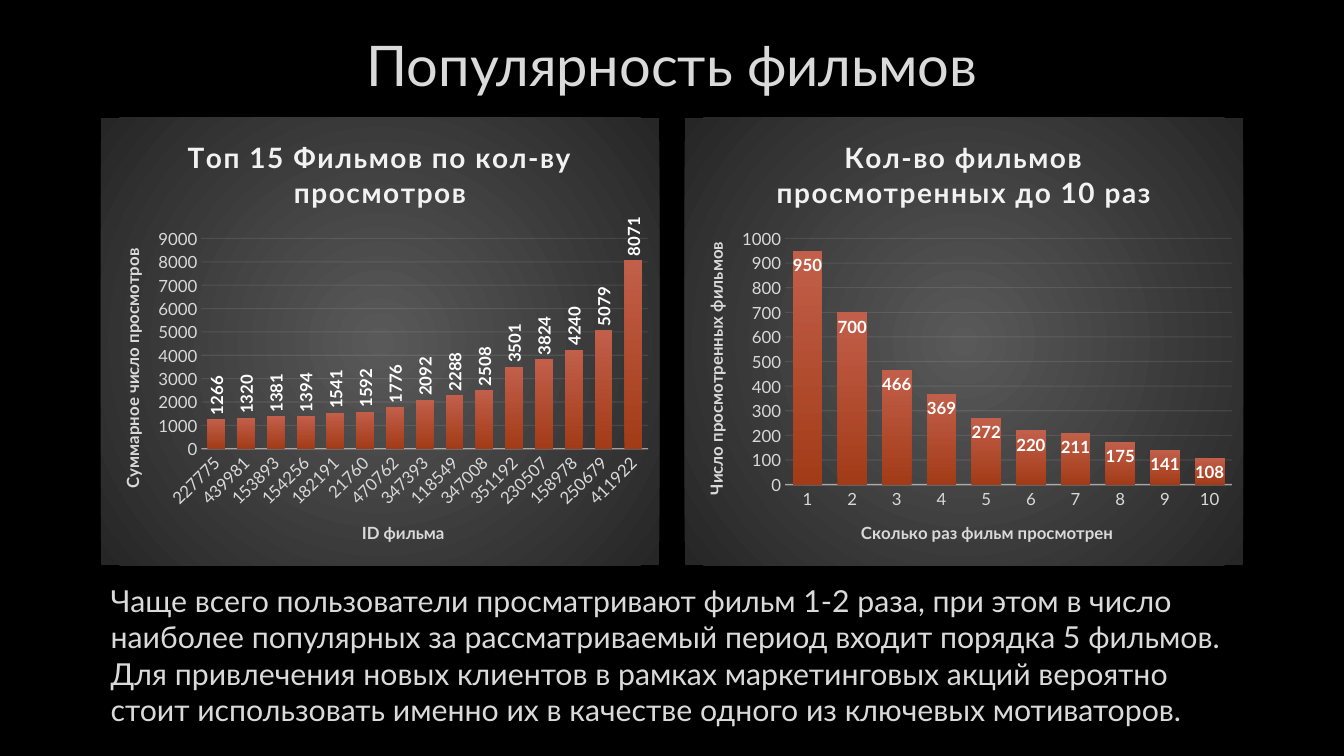
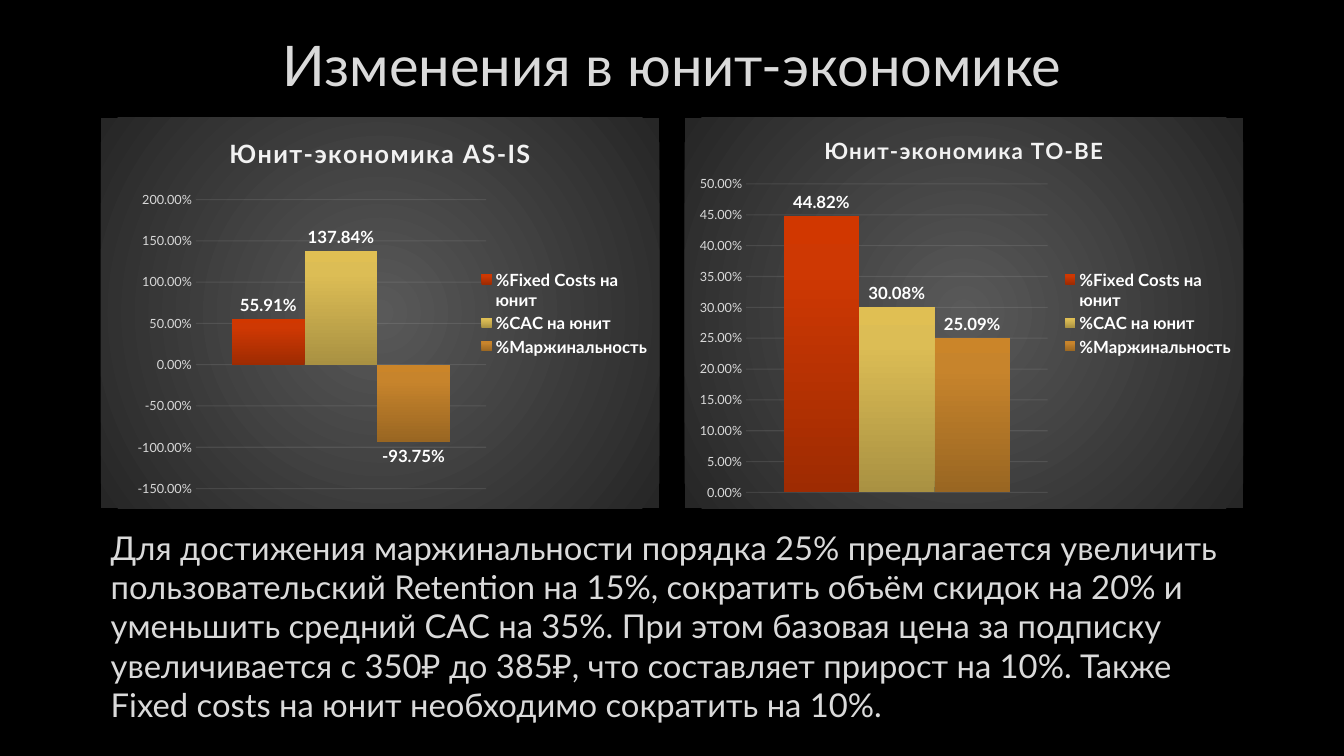
from lxml import etree
from pptx import Presentation
from pptx.chart.data import CategoryChartData
from pptx.dml.color import RGBColor
from pptx.enum.chart import XL_CHART_TYPE, XL_LABEL_POSITION, XL_LEGEND_POSITION, XL_TICK_MARK
from pptx.enum.text import MSO_ANCHOR, PP_ALIGN
from pptx.oxml import parse_xml
from pptx.oxml.ns import nsdecls, qn
from pptx.util import Emu, Inches, Pt

COLUMNS = XL_CHART_TYPE.COLUMN_CLUSTERED
ABOVE = XL_LABEL_POSITION.OUTSIDE_END
INSIDE = XL_LABEL_POSITION.INSIDE_END
LEGEND_RIGHT = XL_LEGEND_POSITION.RIGHT
NO_TICK = XL_TICK_MARK.NONE
MIDDLE = MSO_ANCHOR.MIDDLE
LEFT, CENTER = PP_ALIGN.LEFT, PP_ALIGN.CENTER

BLACK = RGBColor(0x00, 0x00, 0x00)
WHITE = RGBColor(0xFF, 0xFF, 0xFF)
TEXT = RGBColor(0xDA, 0xDA, 0xDA)
TICK_TEXT = RGBColor(0xD9, 0xD9, 0xD9)
PALE = RGBColor(0xF2, 0xF2, 0xF2)
PANEL = [(0, RGBColor(0x59, 0x59, 0x59)), (100, RGBColor(0x26, 0x26, 0x26))]
RUST = [(0, RGBColor(0xA2, 0x3B, 0x17)), (100, RGBColor(0xC2, 0x5F, 0x4A))]
RED = [(0, RGBColor(0x9E, 0x2B, 0x02)), (80, RGBColor(0xCE, 0x38, 0x03)),
       (100, RGBColor(0xD1, 0x37, 0x00))]
GOLD = [(0, RGBColor(0xA9, 0x91, 0x42)), (80, RGBColor(0xDC, 0xBD, 0x55)),
        (100, RGBColor(0xE0, 0xBF, 0x53))]
AMBER = [(0, RGBColor(0x99, 0x66, 0x22)), (80, RGBColor(0xC7, 0x84, 0x2C)),
         (100, RGBColor(0xCB, 0x85, 0x29))]

FONT = "Lato"
PERCENT = "0.00%"
CELL = Inches(1) // 12
SLIDE_COLS, SLIDE_ROWS = 160, 90
MARGIN, GUTTER = 12, 3
CONTENT = SLIDE_COLS - 2 * MARGIN
CHART_COLS = (CONTENT - GUTTER) / 2
TITLE_TOP, CHART_TOP, BODY_BOTTOM = 1.3, 14, 86.2
UPRIGHT, SLANTED = "-5400000", "-2700000"
RISING = '<a:lin ang="16200000" scaled="0"/>'
RADIAL = ('<a:path path="circle"><a:fillToRect l="50000" t="50000" '
          'r="50000" b="50000"/></a:path>')


def apply(target, values):
    for key, value in values.items():
        setattr(target, key, value)


def style_font(font, size, color, bold=False):
    apply(font, {"name": FONT, "size": Pt(size), "bold": bold})
    font.color.rgb = color


def gradient(stops, direction):
    marks = "".join(f'<a:gs pos="{share * 1000}"><a:srgbClr val="{color}"/></a:gs>'
                    for share, color in stops)
    return parse_xml(f'<a:gradFill {nsdecls("a")} rotWithShape="1">'
                     f'<a:gsLst>{marks}</a:gsLst>{direction}</a:gradFill>')


def style_line(line, width, opacity):
    line.width = Pt(width)
    line.color.rgb = PALE
    color = line._get_or_add_ln().xpath(".//a:srgbClr")[0]
    etree.SubElement(color, qn("a:alpha")).set("val", str(opacity * 1000))


def turn(element, angle):
    body = element.xpath("./c:txPr/a:bodyPr")[0]
    body.set("rot", angle)
    body.set("vert", "horz")


def place(parent, index, shares, target=""):
    for previous in parent.findall(qn("c:layout")):
        parent.remove(previous)
    sides = "".join(f'<c:{side} val="{share}"/>' for side, share in zip("xywh", shares))
    parent.insert(index, parse_xml(
        f'<c:layout {nsdecls("c")}><c:manualLayout>{target}<c:xMode val="edge"/>'
        f'<c:yMode val="edge"/>{sides}</c:manualLayout></c:layout>'))


class Deck:
    """Holds the shared style and the current slide of a dark chart deck."""

    def __init__(self):
        self.show = Presentation()
        apply(self.show, {"slide_width": Emu(SLIDE_COLS * CELL),
                          "slide_height": Emu(SLIDE_ROWS * CELL)})
        self.slide = None

    def box(self, *cells):
        return [Emu(round(cell * CELL)) for cell in cells]

    def text(self, words, top, bottom, size, align):
        frame = self.slide.shapes.add_textbox(
            *self.box(MARGIN, top, CONTENT, bottom - top)).text_frame
        apply(frame, {"word_wrap": True, "vertical_anchor": MIDDLE})
        paragraph = frame.paragraphs[0]
        paragraph.alignment = align
        run = paragraph.add_run()
        run.text = words
        style_font(run.font, size, TEXT)

    def new_slide(self, heading):
        self.slide = self.show.slides.add_slide(self.show.slide_layouts[6])
        fill = self.slide.background.fill
        fill.solid()
        fill.fore_color.rgb = BLACK
        self.text(heading, TITLE_TOP, CHART_TOP, 40, CENTER)

    def body(self, words, top, size):
        self.text(words, top, BODY_BOTTOM, size, LEFT)

    def caption(self, frame, words, size, color, spacing=0, angle=None):
        run = frame.paragraphs[0].add_run()
        run.text = words
        style_font(run.font, size, color, True)
        run._r.get_or_add_rPr().set("spc", str(spacing))
        if angle:
            frame._txBody.bodyPr.set("rot", angle)
            frame._txBody.bodyPr.set("vert", "horz")

    def chart(self, column, rows, heading, heading_size, names, series, plot_area, gap,
              scale, tick_size=12, axis_titles=None, number_format="General",
              label_position=ABOVE, label_angle=None, tick_angle=None, overlap=0):
        data = CategoryChartData(number_format=number_format)
        data.categories = names
        for name, values, _ in series:
            data.add_series(name, values)
        left = MARGIN + column * (CHART_COLS + GUTTER)
        chart = self.slide.shapes.add_chart(
            COLUMNS, *self.box(left, CHART_TOP, CHART_COLS, rows), data).chart
        style_font(chart.font, 10, WHITE)
        self.panel(chart)
        chart.has_title = True
        self.caption(chart.chart_title.text_frame, heading, heading_size, PALE, 100)
        place(chart._chartSpace.chart.plotArea, 0, plot_area,
              '<c:layoutTarget val="inner"/>')

        plot = chart.plots[0]
        apply(plot, {"gap_width": gap, "overlap": overlap, "vary_by_categories": False})
        for bars, (_, _, stops) in zip(plot.series, series):
            bars._element.get_or_add_spPr().append(gradient(stops, RISING))
            labels = bars.data_labels
            apply(labels, {"show_value": True, "position": label_position,
                           "number_format": number_format,
                           "number_format_is_linked": False})
            style_font(labels.font, 12, WHITE, True)
            if label_angle:
                turn(labels._element, label_angle)

        self.value_axis(chart.value_axis, scale, tick_size, number_format)
        if axis_titles:
            self.category_axis(chart.category_axis, tick_angle)
            axes = (chart.category_axis, chart.value_axis)
            for axis, words, angle in zip(axes, axis_titles, (None, UPRIGHT)):
                self.caption(axis.axis_title.text_frame, words, 12, TICK_TEXT, angle=angle)
        else:
            chart.category_axis.visible = False
        chart.has_legend = len(series) > 1
        if chart.has_legend:
            self.legend(chart.legend)

    def panel(self, chart):
        backdrop = parse_xml(f'<c:spPr {nsdecls("c", "a")}><a:ln><a:noFill/></a:ln></c:spPr>')
        backdrop.insert(0, gradient(PANEL, RADIAL))
        chart._chartSpace.chart.addnext(backdrop)

    def value_axis(self, axis, scale, tick_size, number_format):
        low, high, step = scale
        apply(axis, {"minimum_scale": low, "maximum_scale": high, "major_unit": step,
                     "major_tick_mark": NO_TICK, "has_major_gridlines": True})
        apply(axis.tick_labels, {"number_format": number_format,
                                 "number_format_is_linked": False})
        style_font(axis.tick_labels.font, tick_size, TICK_TEXT)
        axis.format.line.fill.background()
        style_line(axis.major_gridlines.format.line, 0.75, 10)

    def category_axis(self, axis, tick_angle):
        axis.major_tick_mark = NO_TICK
        style_font(axis.tick_labels.font, 12, TICK_TEXT)
        style_line(axis.format.line, 1, 54)
        if tick_angle:
            turn(axis._element, tick_angle)

    def legend(self, legend):
        apply(legend, {"position": LEGEND_RIGHT, "include_in_layout": False})
        style_font(legend.font, 12, WHITE, True)
        place(legend._element, 1, (0.67, 0.38, 0.32, 0.24))


def popularity(deck):
    deck.new_slide("Популярность фильмов")
    films = ["227775", "439981", "153893", "154256", "182191", "21760", "470762", "347393",
             "118549", "347008", "351192", "230507", "158978", "250679", "411922"]
    views = [1266, 1320, 1381, 1394, 1541, 1592, 1776, 2092,
             2288, 2508, 3501, 3824, 4240, 5079, 8071]
    deck.chart(0, 53.3, "Топ 15 Фильмов по кол-ву просмотров", 20, films,
               [("Series 1", views, RUST)], (0.18, 0.27, 0.8, 0.47), 67, (0, 9000, 1000),
               axis_titles=("ID фильма", "Суммарное число просмотров"),
               label_angle=UPRIGHT, tick_angle=SLANTED)
    film_counts = [950, 700, 466, 369, 272, 220, 211, 175, 141, 108]
    deck.chart(1, 53.3, "Кол-во фильмов просмотренных до 10 раз", 20,
               [str(times) for times in range(1, 11)],
               [("Series 1", film_counts, RUST)], (0.18, 0.27, 0.8, 0.55), 50,
               (0, 1000, 100), overlap=-20, label_position=INSIDE,
               axis_titles=("Сколько раз фильм просмотрен", "Число просмотренных фильмов"))
    deck.body("Чаще всего пользователи просматривают фильм 1-2 раза, при этом в число наиболее "
              "популярных за рассматриваемый период входит порядка 5 фильмов. Для привлечения "
              "новых клиентов в рамках маркетинговых акций вероятно стоит использовать именно "
              "их в качестве одного из ключевых мотиваторов.", 69.7, 21.6)


def unit_economics(deck):
    deck.new_slide("Изменения в юнит-экономике")
    metrics = [("%Fixed Costs на юнит", RED), ("%CAC на юнит", GOLD), ("%Маржинальность", AMBER)]
    stages = [
        ("Юнит-экономика AS-IS", 18, (0.5591, 1.3784, -0.9375),
         (0.17, 0.21, 0.52, 0.74), (-1.5, 2, 0.5)),
        ("Юнит-экономика TO-BE", 16, (0.4482, 0.3008, 0.2509),
         (0.11, 0.17, 0.54, 0.79), (0, 0.5, 0.05)),
    ]
    for column, (heading, size, shares, plot_area, scale) in enumerate(stages):
        series = [(name, [share], stops) for (name, stops), share in zip(metrics, shares)]
        deck.chart(column, 46.5, heading, size, ["1"], series, plot_area, 100, scale,
                   tick_size=9, number_format=PERCENT)
    deck.body("Для достижения маржинальности порядка 25% предлагается увеличить "
              "пользовательский Retention на 15%, сократить объём скидок на 20% и уменьшить "
              "средний CAC на 35%. При этом базовая цена за подписку увеличивается с 350₽ до "
              "385₽, что составляет прирост на 10%. Также Fixed costs на юнит необходимо "
              "сократить на 10%.", 62.8, 23.4)


def main():
    deck = Deck()
    popularity(deck)
    unit_economics(deck)
    deck.show.save("out.pptx")


if __name__ == "__main__":
    main()
